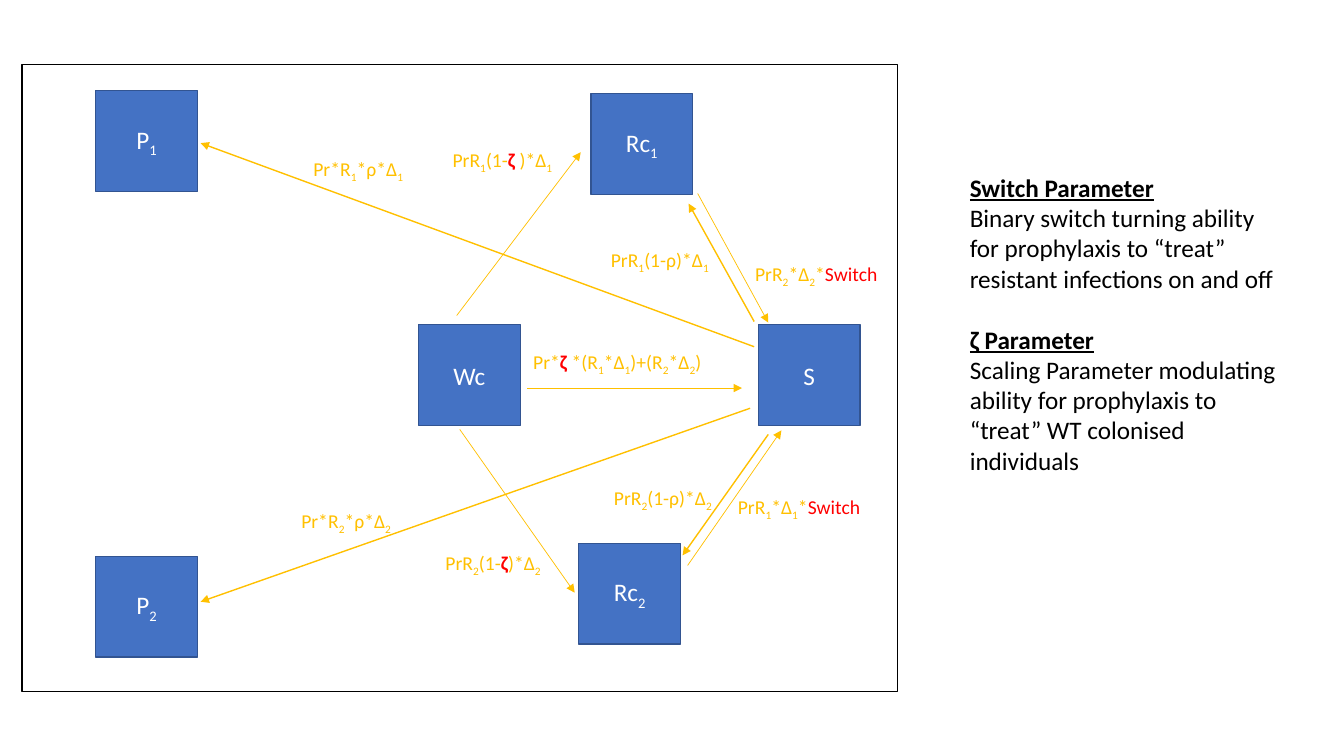
from lxml import etree
from pptx import Presentation
from pptx import util as u
from pptx.dml.color import RGBColor
from pptx.enum import shapes, text
from pptx.oxml.ns import qn

COLORS = {"white": "FFFFFF", "black": "000000", "box": "4472C4",
          "edge": "325491", "flow": "FFC000", "accent": "FF0000"}
FONT = "Calibri"
BOX_W, BOX_H = 1.01, 1.0

# Text markup: "|" separates runs, "_" marks a subscript,
# "!" a red run and "~" a bold red run.
COMPARTMENTS = [
    ("Wc", 4.15, 3.22), ("P|_1", 0.95, 0.9), ("P|_2", 0.95, 5.52),
    ("S", 7.52, 3.22), ("Rc|_1", 5.86, 0.93), ("Rc|_2", 5.74, 5.39),
]
FLOWS = [  # start, end (arrowhead), line width
    ((5.23, 3.85), (7.36, 3.85), 0.5),
    ((4.53, 3.13), (5.76, 1.51), 0.5),
    ((4.56, 4.26), (5.7, 5.88), 0.5),
    ((7.48, 3.44), (1.99, 1.42), 1),
    ((7.44, 4.05), (1.99, 5.97), 1),
    ((6.82, 5.61), (7.75, 4.27), 0.5),
    ((6.92, 1.92), (7.62, 3.2), 0.5),
    ((7.48, 3.19), (6.83, 2.02), 1),
    ((7.62, 4.31), (6.77, 5.51), 1),
]
RATES = [  # markup, left, top, width
    ("Pr*R|_1|*ρ*Δ|_1", 3.01, 1.51, 1.13),
    ("PrR|_1|(1-|~ζ |)*Δ|_1", 4.39, 1.42, 1.29),
    ("Pr*|~ζ |*(R|_1|*Δ|_1|)+(R|_2|*Δ|_2|)", 5.19, 3.42, 2),
    ("PrR|_2|(1-|~ζ|)*Δ|_2", 4.32, 5.42, 1.29),
    ("PrR|_1|*Δ|_1|*|!Switch", 7.22, 4.86, 1.53),
    ("PrR|_2|*Δ|_2|*|!Switch", 7.39, 2.55, 1.51),
    ("Pr*R|_2|*ρ*Δ|_2", 2.89, 5, 1.13),
    ("PrR|_1|(1-ρ)*Δ|_1", 5.96, 2.41, 1.22),
    ("PrR|_2|(1-ρ)*Δ|_2", 5.99, 4.77, 1.22),
]
DEFINITIONS = [
    ("Switch Parameter", "Binary switch turning ability for prophylaxis "
     "to “treat” resistant infections on and off"),
    ("ζ Parameter", "Scaling Parameter modulating ability for prophylaxis "
     "to “treat” WT colonised individuals"),
]


def rgb(name):
    """Return the named colour."""
    return RGBColor.from_string(COLORS[name])


def apply(target, values):
    """Set each attribute in a dict of format values."""
    for name, value in values.items():
        setattr(target, name, value)


def add_run(p, content, size, color, **extra):
    """Add a formatted run to a paragraph."""
    r = p.add_run()
    r.text = content
    apply(r.font, {"name": FONT, "size": u.Pt(size), **extra})
    r.font.color.rgb = rgb(color)
    return r


def add_formula(p, markup, size, color):
    """Add runs for a formula written in the text markup."""
    for part in markup.split("|"):
        mark, body = part[0], part[1:]
        if mark == "_":
            r = add_run(p, body, size, color)
            r.font._element.set("baseline", "-25000")
        elif mark in "!~":
            add_run(p, body, size, "accent", bold=mark == "~")
        else:
            add_run(p, part, size, color)


def add_rect(s, left, top, width, height, fill, line):
    """Add a flat rectangle with a 1 pt outline."""
    sp = s.shapes.add_shape(shapes.MSO_SHAPE.RECTANGLE,
                            *map(u.Inches, (left, top, width, height)))
    sp.shadow.inherit = False
    sp.fill.solid()
    sp.fill.fore_color.rgb = rgb(fill)
    sp.line.color.rgb = rgb(line)
    sp.line.width = u.Pt(1)
    return sp


def add_compartment(s, markup, left, top):
    """Add a model compartment with its centred name."""
    sp = add_rect(s, left, top, BOX_W, BOX_H, "box", "edge")
    tf = sp.text_frame
    tf.vertical_anchor = text.MSO_ANCHOR.MIDDLE
    p = tf.paragraphs[0]
    p.alignment = text.PP_ALIGN.CENTER
    add_formula(p, markup, 18, "white")


def add_flow(s, start, end, width):
    """Add an arrow from start to end."""
    cn = s.shapes.add_connector(shapes.MSO_CONNECTOR.STRAIGHT,
                                *map(u.Inches, start + end))
    cn.line.color.rgb = rgb("flow")
    cn.line.width = u.Pt(width)
    etree.SubElement(cn.line._get_or_add_ln(), qn("a:tailEnd"), type="triangle")
    etree.SubElement(cn._element.spPr, qn("a:effectLst"))


def add_text_frame(s, left, top, width, height):
    """Add a wrapping text box and return its text frame."""
    sp = s.shapes.add_textbox(*map(u.Inches, (left, top, width, height)))
    tf = sp.text_frame
    apply(tf, {"word_wrap": True,
               "auto_size": text.MSO_AUTO_SIZE.SHAPE_TO_FIT_TEXT})
    return tf


def add_rate(s, markup, left, top, width):
    """Add the rate label of a flow."""
    tf = add_text_frame(s, left, top, width, 0.34)
    add_formula(tf.paragraphs[0], markup, 14, "flow")


def add_definitions(s):
    """Add the parameter definitions beside the diagram."""
    tf = add_text_frame(s, 9.52, 1.66, 3.24, 3.13)
    p = tf.paragraphs[0]
    for i, (title, body) in enumerate(DEFINITIONS):
        if i:
            p = tf.add_paragraph()
            p.space_before = u.Pt(22)
        add_run(p, title, 18, "black", bold=True, underline=True)
        add_run(tf.add_paragraph(), body, 18, "black")


def main():
    """Build the slide and save it."""
    prs = Presentation()
    apply(prs, {"slide_width": u.Inches(13.33), "slide_height": u.Inches(7.5)})
    s = prs.slides.add_slide(prs.slide_layouts[6])
    add_rect(s, 0.22, 0.64, 8.68, 6.22, "white", "black")
    for compartment in COMPARTMENTS:
        add_compartment(s, *compartment)
    for flow in FLOWS:
        add_flow(s, *flow)
    for rate in RATES:
        add_rate(s, *rate)
    add_definitions(s)
    prs.save("out.pptx")


main()
